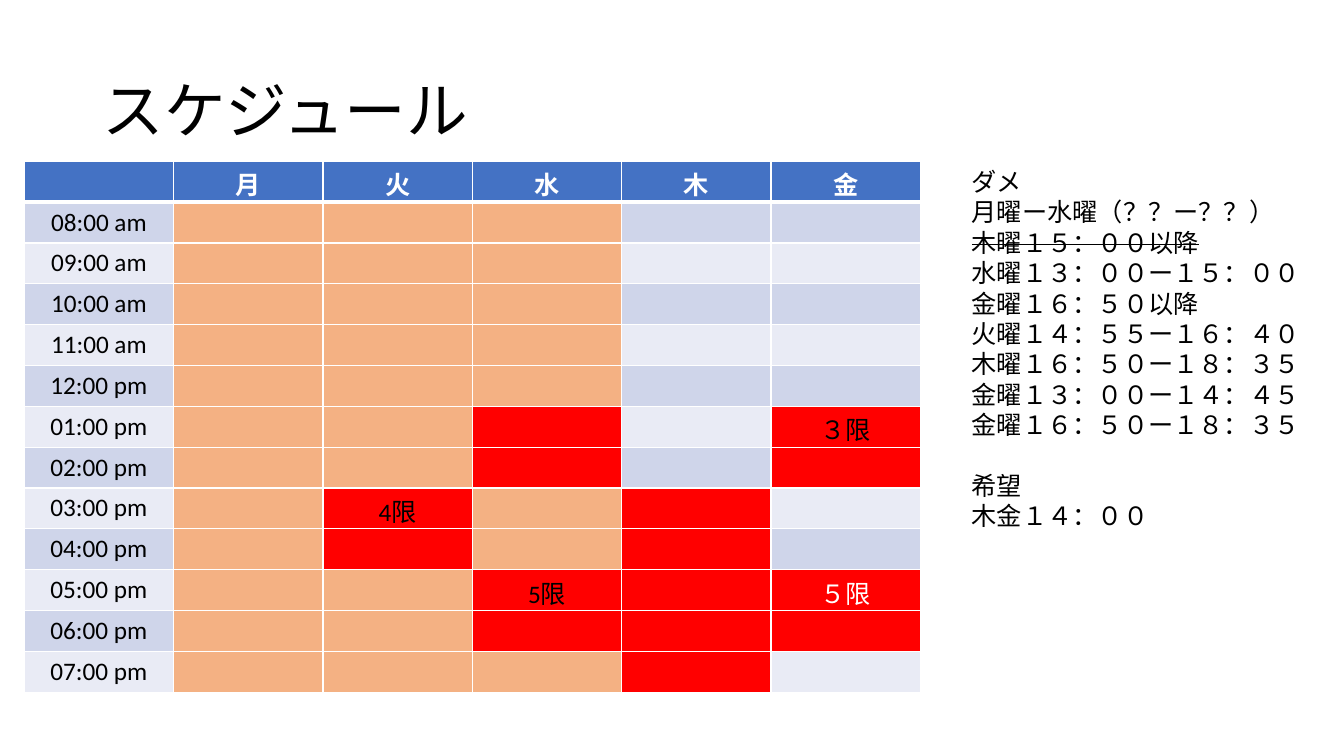
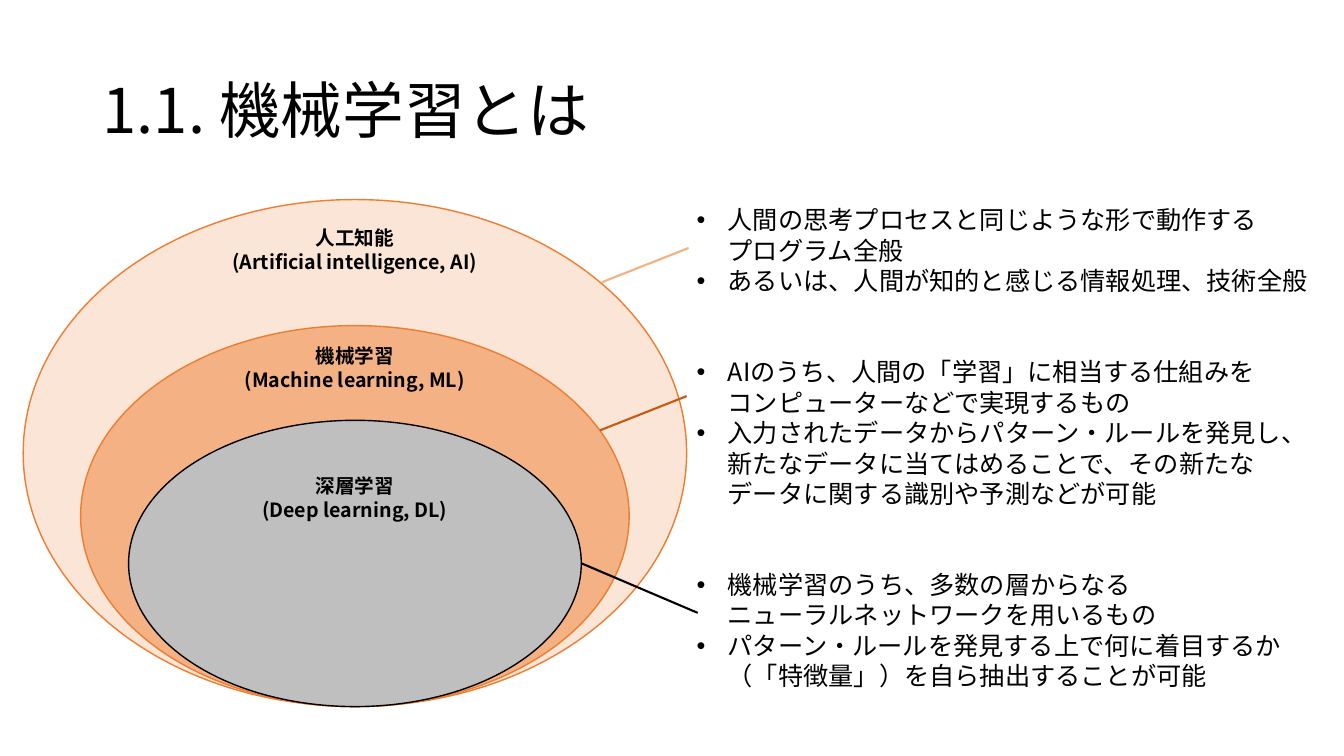
from lxml.etree import SubElement
from pptx import Presentation
from pptx.dml.color import RGBColor
from pptx.enum.shapes import MSO_CONNECTOR as Connector, MSO_SHAPE as Shape
from pptx.enum.text import MSO_ANCHOR as Anchor, PP_ALIGN as Align
from pptx.oxml.ns import qn
from pptx.util import Inches, Pt

THEME = {
    "black": RGBColor.from_string("000000"),
    "white": RGBColor.from_string("FFFFFF"),
    "header": RGBColor.from_string("4472C4"),
    "bands": [RGBColor.from_string("E9EBF5"), RGBColor.from_string("CFD5EA")],
    "red": RGBColor.from_string("FF0000"),
    "orange": RGBColor.from_string("ED7D31"),
    "dark orange": RGBColor.from_string("C55A11"),
    "mid orange": RGBColor.from_string("F4B183"),
    "pale orange": RGBColor.from_string("FBE5D6"),
    "gray": RGBColor.from_string("BFBFBF"),
    "latin": "Calibri",
    "japanese": "Noto Sans CJK JP",
    "title": Pt(44),
    "body": Pt(18),
    "label": Pt(14),
}


def write(paragraph, text, size, font, color=THEME["black"], bold=False, **layout):
    """Fill a paragraph; layout holds paragraph attributes."""
    paragraph.text = text
    for name, value in layout.items():
        setattr(paragraph, name, value)
    for run in paragraph.runs:
        for name, value in {"size": size, "name": font, "bold": bold}.items():
            setattr(run.font, name, value)
        run.font.color.rgb = color
        east_asian = SubElement(run.font._element, qn("a:ea"))
        east_asian.set("typeface", THEME["japanese"])


def add_text(slide, left, top, width, height):
    frame = slide.shapes.add_textbox(
        Inches(left), Inches(top), Inches(width), Inches(height)).text_frame
    frame.word_wrap = True
    return frame


presentation = Presentation()
presentation.slide_width, presentation.slide_height = Inches(13.33), Inches(7.5)

# Slides with their shared title
slides = []
for title in ["スケジュール", "1.1. 機械学習とは"]:
    slide = presentation.slides.add_slide(presentation.slide_layouts[6])
    frame = add_text(slide, 0.92, 0.4, 11.5, 1.45)
    frame.vertical_anchor = Anchor.MIDDLE
    write(frame.paragraphs[0], title, THEME["title"], THEME["japanese"], line_spacing=0.9)
    slides.append(slide)
schedule, learning = slides

# Schedule: notes beside the timetable
NOTES = [
    "ダメ", "月曜ー水曜（？？ー？？）", "木曜１５：００以降", "水曜１３：００ー１５：００",
    "金曜１６：５０以降", "火曜１４：５５ー１６：４０", "木曜１６：５０ー１８：３５",
    "金曜１３：００ー１４：４５", "金曜１６：５０ー１８：３５", "希望", "木金１４：００",
]
frame = add_text(schedule, 9.54, 1.6, 3.6, 3.74)
for index, note in enumerate(NOTES):
    paragraph = frame.add_paragraph() if index else frame.paragraphs[0]
    write(paragraph, note, THEME["body"], THEME["latin"], line_spacing=Pt(21.7))
    if note == "希望":
        paragraph.space_before = Pt(21.7)
    if note == "木曜１５：００以降":
        paragraph.runs[0].font._element.set("strike", "sngStrike")

# Schedule: timetable, one letter a day (o unsure, x taken, - free)
DAYS = ["", "月", "火", "水", "木", "金"]
HOURS = [
    ("08:00 am", "ooo--"), ("09:00 am", "ooo--"), ("10:00 am", "ooo--"),
    ("11:00 am", "ooo--"), ("12:00 pm", "ooo--"), ("01:00 pm", "oox-x"),
    ("02:00 pm", "oox-x"), ("03:00 pm", "oxox-"), ("04:00 pm", "oxox-"),
    ("05:00 pm", "ooxxx"), ("06:00 pm", "ooxxx"), ("07:00 pm", "ooox-"),
]
PERIODS = {(6, 5): "３限", (8, 2): "4限", (10, 3): "5限", (10, 5): "５限"}
MARKS = {"o": THEME["mid orange"], "x": THEME["red"]}
row_count = len(HOURS) + 1
table = schedule.shapes.add_table(
    row_count, len(DAYS), Inches(0.24), Inches(1.6), Inches(8.89), Inches(5.27)).table
for row in table.rows:
    row.height = Inches(5.27 / row_count)
for r in range(row_count):
    for c in range(len(DAYS)):
        cell = table.cell(r, c)
        color = THEME["black"]
        if r == 0:
            text, fill, color = DAYS[c], THEME["header"], THEME["white"]
        elif c == 0:
            text, fill = HOURS[r - 1][0], THEME["bands"][r % 2]
        else:
            text = PERIODS.get((r, c), "")
            fill = MARKS.get(HOURS[r - 1][1][c - 1], THEME["bands"][r % 2])
            if (r, c) == (10, 5):
                color = THEME["white"]
        # White borders, thicker under the header
        properties = cell._tc.get_or_add_tcPr()
        for side in "LRTB":
            thick = (r, side) in [(0, "B"), (1, "T")]
            border = SubElement(properties, qn(f"a:ln{side}"), w=str(Pt(3 if thick else 1)))
            paint = SubElement(border, qn("a:solidFill"))
            SubElement(paint, qn("a:srgbClr"), val=str(THEME["white"]))
        cell.fill.solid()
        cell.fill.fore_color.rgb = fill
        # Japanese text sits lower in its row than the hours
        cell.margin_top = Inches(0.1 if c else 0.05)
        cell.margin_bottom = Inches(0 if c else 0.05)
        write(cell.text_frame.paragraphs[0], text, THEME["body"], THEME["latin"], color,
              bold=r == 0, alignment=Align.CENTER, line_spacing=Pt(21.9))

# Machine learning: nested ellipses sharing a centre line and a bottom
CENTER, BOTTOM = 3.52, 7.01
FIELDS = [
    (6.58, 5.03, "pale orange", "orange", 2.19, "人工知能\v(Artificial intelligence, AI)"),
    (5.44, 3.78, "mid orange", "orange", 3.36, "機械学習\v(Machine learning, ML)"),
    (4.49, 2.84, "gray", "black", 4.65, "深層学習\v(Deep learning, DL)"),
]
for width, height, fill, outline, label_top, label in FIELDS:
    ellipse = learning.shapes.add_shape(
        Shape.OVAL, Inches(CENTER - width / 2), Inches(BOTTOM - height),
        Inches(width), Inches(height))
    ellipse.shadow.inherit = False
    ellipse.fill.solid()
    ellipse.fill.fore_color.rgb = THEME[fill]
    ellipse.line.color.rgb = THEME[outline]
    ellipse.line.width = Pt(1)
    frame = add_text(learning, CENTER - 1.5, label_top, 3, 0.57)
    write(frame.paragraphs[0], label, THEME["label"], THEME["japanese"], bold=True,
          alignment=Align.CENTER, line_spacing=Pt(17))

# Machine learning: explanations, two bullets a field
EXPLANATIONS = [
    "人間の思考プロセスと同じような形で動作する\vプログラム全般",
    "あるいは、人間が知的と感じる情報処理、技術全般",
    "AIのうち、人間の「学習」に相当する仕組みを\vコンピューターなどで実現するもの",
    "入力されたデータからパターン・ルールを発見し、\v"
    "新たなデータに当てはめることで、その新たな\vデータに関する識別や予測などが可能",
    "機械学習のうち、多数の層からなる\vニューラルネットワークを用いるもの",
    "パターン・ルールを発見する上で何に着目するか\v（「特徴量」）を自ら抽出することが可能",
]
frame = add_text(learning, 6.81, 1.98, 6.45, 4.95)
for index, explanation in enumerate(EXPLANATIONS):
    paragraph = frame.add_paragraph() if index else frame.paragraphs[0]
    starts_field = index and index % 2 == 0
    write(paragraph, explanation, THEME["body"], THEME["japanese"],
          line_spacing=Pt(21.7), space_before=Pt(43.4 if starts_field else 0))
    properties = paragraph._p.get_or_add_pPr()
    properties.set("marL", str(Inches(0.31)))
    properties.set("indent", str(Inches(-0.31)))
    SubElement(properties, qn("a:buFont"), typeface="Arial")
    SubElement(properties, qn("a:buChar"), char="•")

# Machine learning: lines from the ellipses to the explanations
LEADERS = [
    (5.97, 2.8, 6.83, 2.46, "mid orange"),
    (5.95, 4.27, 6.81, 3.93, "dark orange"),
    (5.77, 5.59, 6.92, 6.08, "black"),
]
for *ends, color in LEADERS:
    leader = learning.shapes.add_connector(Connector.STRAIGHT, *map(Inches, ends))
    leader.line.color.rgb = THEME[color]
    leader.line.width = Pt(1.5)
    SubElement(leader._element.spPr, qn("a:effectLst"))

presentation.save("out.pptx")
